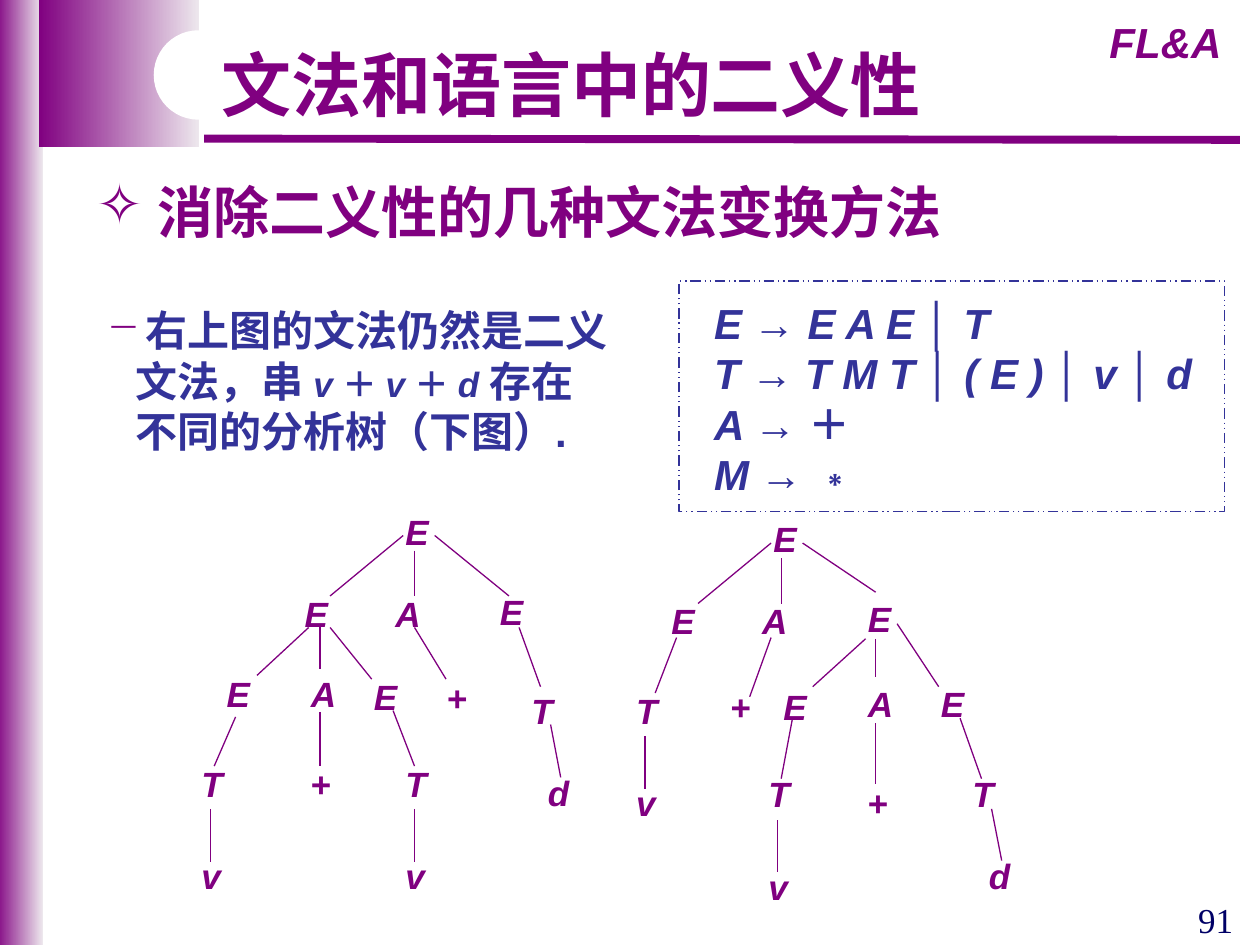
from dataclasses import dataclass
from itertools import groupby

from lxml.etree import SubElement
from pptx import Presentation
from pptx.dml.color import RGBColor
from pptx.enum.dml import MSO_LINE
from pptx.enum.shapes import MSO_CONNECTOR, MSO_SHAPE
from pptx.enum.text import PP_ALIGN
from pptx.oxml.ns import qn
from pptx.util import Inches, Pt


@dataclass(frozen=True)
class Theme:
    purple: str = "800080"
    pale: str = "EDE7ED"
    blue: str = "333399"
    navy: str = "000066"
    white: str = "FFFFFF"
    latin: str = "Arial"
    serif: str = "Times New Roman"
    chinese: str = "Noto Sans CJK SC"
    title: int = 40
    heading: int = 32
    body: int = 24
    small: int = 20
    leading: float = 1.2
    thin: float = 0.75
    rule: float = 4.5


def add_text(frame, content, size, color, font, bold=True, italic=False, align=None,
             bullet=None, indent=0, leading=1.2, east_asian=None, first=True):
    """Add one paragraph; content is a string or a list of (text, format) runs."""
    paragraph = frame.paragraphs[0] if first else frame.add_paragraph()
    properties = paragraph._p.get_or_add_pPr()
    if indent:
        properties.set("marL", str(Inches(indent)))
        properties.set("indent", str(-Inches(indent) if bullet else 0))
    if bullet:
        bullet_color = SubElement(properties, qn("a:buClr"))
        SubElement(bullet_color, qn("a:srgbClr")).set("val", Theme.purple)
        SubElement(properties, qn("a:buChar")).set("char", bullet)
    paragraph.line_spacing = Pt(size * leading)
    if align is not None:
        paragraph.alignment = align
    runs = [(content, {})] if isinstance(content, str) else content
    for text, change in runs:
        run = paragraph.add_run()
        run.text = text
        run.font.name = font
        run.font.size = Pt(change.get("size", size))
        run.font.bold = bold
        run.font.italic = change.get("italic", italic)
        run.font.color.rgb = RGBColor.from_string(color)
        if east_asian:
            SubElement(run._r.get_or_add_rPr(), qn("a:ea")).set("typeface", east_asian)


class SlideBuilder:
    def __init__(self, slide, theme):
        self.slide = slide
        self.theme = theme

    def shape(self, kind, left, top, width, height, fill=None, gradient=None, dash=None):
        shape = self.slide.shapes.add_shape(
            kind, Inches(left), Inches(top), Inches(width), Inches(height))
        shape.shadow.inherit = False
        if gradient:
            shape.fill.gradient()
            shape.fill.gradient_angle = 0
            for stop, position, color in zip(shape.fill.gradient_stops, (0, 1), gradient):
                stop.position = position
                stop.color.rgb = RGBColor.from_string(color)
        elif fill:
            shape.fill.solid()
            shape.fill.fore_color.rgb = RGBColor.from_string(fill)
        else:
            shape.fill.background()
        if dash:
            shape.line.color.rgb = RGBColor.from_string(self.theme.blue)
            shape.line.width = Pt(self.theme.thin)
            shape.line.dash_style = dash
        else:
            shape.line.fill.background()
        return shape

    def line(self, x1, y1, x2, y2, width):
        line = self.slide.shapes.add_connector(
            MSO_CONNECTOR.STRAIGHT, Inches(x1), Inches(y1), Inches(x2), Inches(y2))
        line.line.color.rgb = RGBColor.from_string(self.theme.purple)
        line.line.width = Pt(width)
        SubElement(line._element.spPr, qn("a:effectLst"))

    def text(self, left, top, width, height, paragraphs, wrap=True, **style):
        """Paragraphs are (content, format) pairs; style applies to all of them."""
        box = self.slide.shapes.add_textbox(
            Inches(left), Inches(top), Inches(width), Inches(height))
        box.text_frame.word_wrap = wrap
        style = {"font": self.theme.latin, "color": self.theme.purple,
                 "east_asian": self.theme.chinese, "leading": self.theme.leading, **style}
        for index, (content, change) in enumerate(paragraphs):
            add_text(box.text_frame, content, first=index == 0, **{**style, **change})

    def tree(self, nodes, edges):
        for label, left, top in nodes:
            self.text(left, top, 0.4, 0.43, [(label, {})],
                      size=self.theme.small, italic=label != "+")
        for edge in edges:
            self.line(*edge, self.theme.thin)


def grammar_runs(rule):
    """Letters lean, operators stand upright."""
    return [("".join(part), {"italic": not upright})
            for upright, part in groupby(rule, lambda sign: sign in "→│＋∗")]


GRAMMAR = ["E → E A E │ T", "T → T M T │ ( E ) │ v │ d", "A → ＋", "M → ∗"]

# Parse trees: nodes as (label, left, top), edges as (x1, y1, x2, y2)
LEFT_NODES = [
    ("E", 3.12, 4), ("E", 2.32, 4.65), ("A", 3.04, 4.65), ("E", 3.87, 4.64),
    ("E", 1.7, 5.29), ("A", 2.37, 5.29), ("E", 2.87, 5.31), ("+", 3.45, 5.32),
    ("T", 4.12, 5.42), ("T", 1.5, 6), ("+", 2.37, 6), ("T", 3.12, 6),
    ("d", 4.25, 6.07), ("v", 1.5, 6.73), ("v", 3.12, 6.73)]
LEFT_EDGES = [
    (3.2, 4.25, 2.62, 4.73), (3.29, 4.37, 3.29, 4.73), (3.45, 4.25, 4.04, 4.73),
    (2.45, 4.98, 2.04, 5.36), (2.54, 4.98, 2.54, 5.31), (2.62, 4.98, 2.95, 5.39),
    (3.29, 4.98, 3.54, 5.39), (4.12, 4.98, 4.29, 5.45), (1.87, 5.69, 1.7, 6.08),
    (2.54, 5.65, 2.54, 6.08), (3.12, 5.64, 3.29, 6.08), (4.37, 5.75, 4.45, 6.17),
    (1.67, 6.42, 1.67, 6.84), (3.29, 6.42, 3.29, 6.84)]
RIGHT_NODES = [
    ("E", 6.04, 4.06), ("E", 5.23, 4.71), ("A", 5.95, 4.71), ("E", 6.79, 4.69),
    ("T", 4.95, 5.42), ("+", 5.7, 5.39), ("E", 6.12, 5.39), ("A", 6.79, 5.37),
    ("E", 7.37, 5.37), ("v", 4.95, 6.15), ("T", 6, 6.08), ("+", 6.79, 6.15),
    ("T", 7.62, 6.08), ("v", 6, 6.82), ("d", 7.75, 6.73)]
RIGHT_EDGES = [
    (6.12, 4.31, 5.54, 4.79), (6.2, 4.43, 6.2, 4.79), (6.37, 4.31, 6.95, 4.7),
    (5.37, 5.06, 5.2, 5.5), (6.12, 5.06, 5.95, 5.53), (6.87, 5.07, 6.45, 5.45),
    (6.95, 5.07, 6.95, 5.37), (7.12, 4.95, 7.45, 5.45), (5.12, 5.84, 5.12, 6.26),
    (6.29, 5.7, 6.2, 6.18), (6.95, 5.74, 6.95, 6.22), (7.62, 5.7, 7.79, 6.18),
    (6.17, 6.51, 6.17, 6.92), (7.87, 6.42, 7.95, 6.83)]


def main():
    theme = Theme()
    presentation = Presentation()
    presentation.slide_width, presentation.slide_height = Inches(10), Inches(7.5)
    slide = presentation.slides.add_slide(presentation.slide_layouts[6])
    builder = SlideBuilder(slide, theme)

    # Side band, corner block and title rule
    fade = (theme.purple, theme.pale)
    builder.shape(MSO_SHAPE.RECTANGLE, -0.04, 0, 0.38, 7.53, gradient=fade)
    builder.shape(MSO_SHAPE.RECTANGLE, 0.31, 0, 1.27, 1.17, gradient=fade)
    builder.line(1.62, 1.1, 9.84, 1.11, theme.rule)
    notch = builder.shape(MSO_SHAPE.ROUNDED_RECTANGLE, 1.22, 0.24, 3.62, 0.71,
                          fill=theme.white)
    notch.adjustments[0] = 0.5

    # Course mark, title and heading
    builder.text(8.62, 0.08, 1.26, 0.5, [("FL&A", {})], size=theme.body,
                 italic=True, align=PP_ALIGN.CENTER)
    builder.text(1.66, 0.28, 5.76, 0.77, [("文法和语言中的二义性", {})],
                 wrap=False, size=theme.title)
    builder.text(0.67, 1.36, 7.56, 0.63, [("消除二义性的几种文法变换方法", {"bullet": "✧"})],
                 size=theme.heading, font=theme.chinese, indent=0.48)

    # Explanation
    sample = [("文法，串 ", {})]
    for sign in ("v ", "＋ ", "v ", "＋ ", "d "):
        sample.append((sign, {"size": theme.small, "italic": sign != "＋ "}))
    sample.append(("存在", {}))
    builder.text(0.75, 2.37, 4.33, 1.3, [
        ("右上图的文法仍然是二义", {"bullet": "−", "indent": 0.31}),
        (sample, {}),
        ("不同的分析树（下图）.", {}),
    ], size=theme.body, color=theme.blue, indent=0.23)

    # Grammar in its dashed frame
    builder.text(5.57, 2.31, 4.15, 1.7, [(grammar_runs(rule), {}) for rule in GRAMMAR],
                 size=theme.body, color=theme.blue)
    builder.shape(MSO_SHAPE.RECTANGLE, 5.39, 2.23, 4.33, 1.83, dash=MSO_LINE.DASH_DOT_DOT)

    # Two parse trees of the same string
    builder.tree(LEFT_NODES, LEFT_EDGES)
    builder.tree(RIGHT_NODES, RIGHT_EDGES)

    # Page number
    builder.text(9.41, 7.08, 0.59, 0.44, [("91", {})], size=theme.small,
                 color=theme.navy, font=theme.serif, bold=False)
    presentation.save("out.pptx")


if __name__ == "__main__":
    main()
